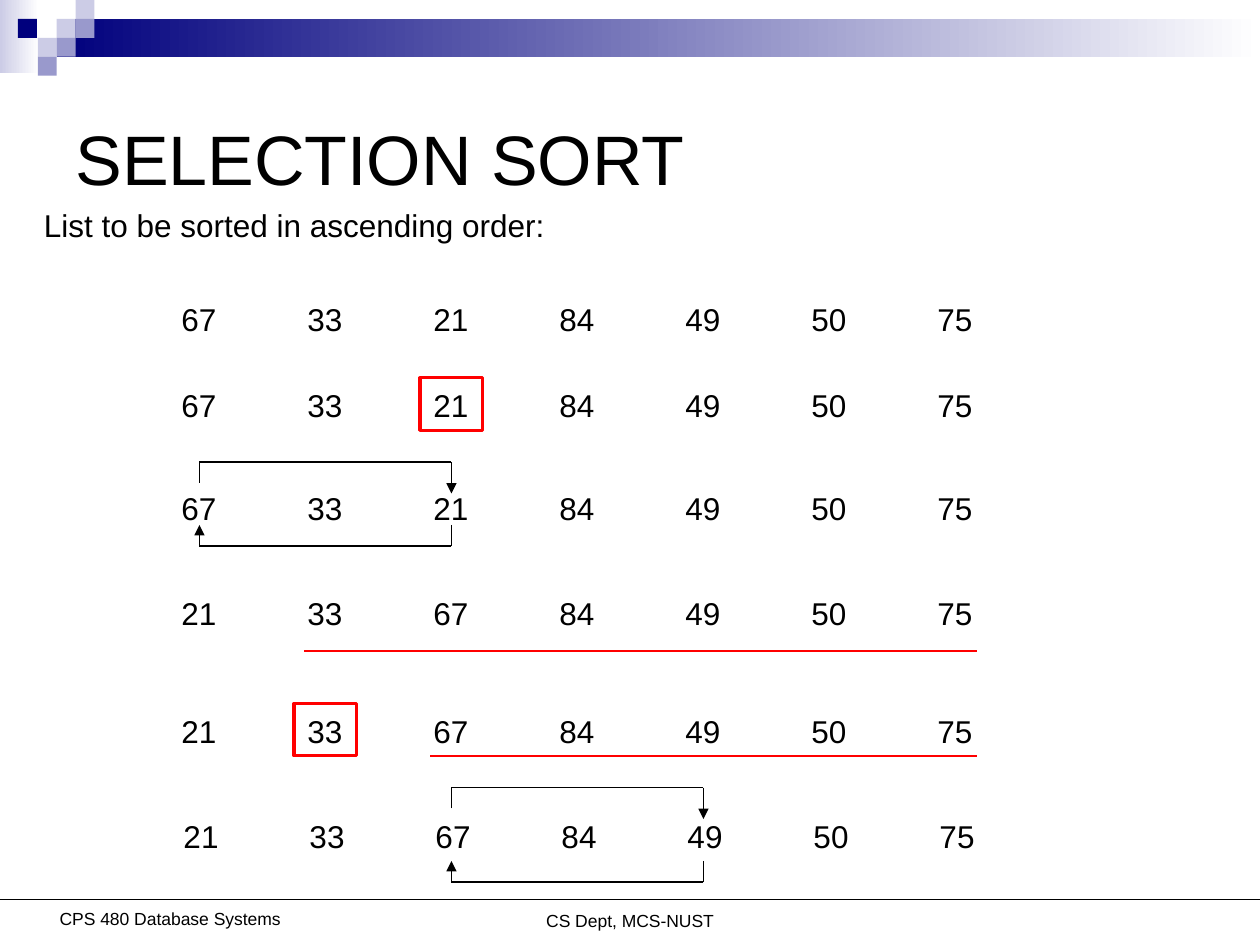
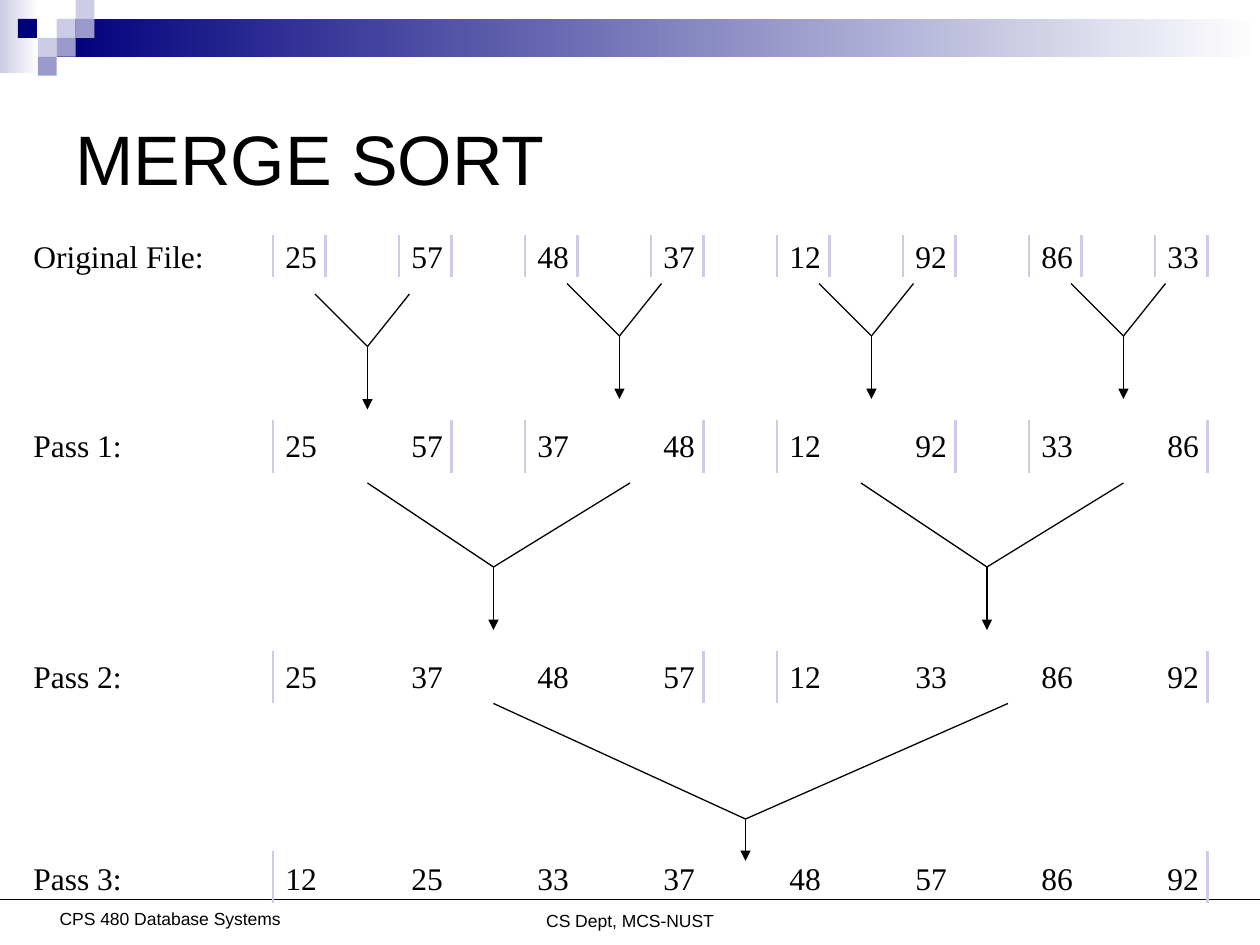
import itertools
import lxml.etree
import pptx
import pptx.dml.color
import pptx.enum.shapes
import pptx.enum.text
import pptx.oxml.ns
import pptx.util

BLACK = pptx.dml.color.RGBColor(0x00, 0x00, 0x00)
WHITE = pptx.dml.color.RGBColor(0xFF, 0xFF, 0xFF)
RED = pptx.dml.color.RGBColor(0xFF, 0x00, 0x00)
NAVY = pptx.dml.color.RGBColor(0x00, 0x00, 0x7D)
LILAC = pptx.dml.color.RGBColor(0xCC, 0xCC, 0xE6)
VIOLET = pptx.dml.color.RGBColor(0x99, 0x99, 0xCC)

COLUMN = pptx.util.Inches(1)
CELL = COLUMN // 12
TILE = 1.8
RECTANGLE = pptx.enum.shapes.MSO_SHAPE.RECTANGLE
LEFT = pptx.enum.text.PP_ALIGN.LEFT
CENTER = pptx.enum.text.PP_ALIGN.CENTER
TITLE_FORMAT = {"name": "Arial", "size": pptx.util.Pt(40)}
FOOTER_FORMAT = {"name": "Arial", "size": pptx.util.Pt(10)}
SORT_FORMAT = {"name": "Arial", "size": pptx.util.Pt(18)}
MERGE_FORMAT = {"name": "Times New Roman", "size": pptx.util.Pt(18)}


def add_text(page, text, area, text_format, align=LEFT):
    box = page.shapes.add_textbox(*[int(length * CELL) for length in area])
    box.text_frame.word_wrap = True
    para = box.text_frame.paragraphs[0]
    para.alignment = align
    if "\t" in text:
        stops = lxml.etree.SubElement(para._p.get_or_add_pPr(), pptx.oxml.ns.qn("a:tabLst"))
        for column in range(1, 10):
            lxml.etree.SubElement(stops, pptx.oxml.ns.qn("a:tab"), pos=str(column * COLUMN), algn="l")
    span = para.add_run()
    span.text = text
    span.font.color.rgb = BLACK
    for name, value in text_format.items():
        setattr(span.font, name, value)


def add_route(page, points, colour=BLACK, width=0.75, arrow=False):
    for start, end in itertools.pairwise(points):
        line = page.shapes.add_connector(
            pptx.enum.shapes.MSO_CONNECTOR.STRAIGHT,
            *[int(length * CELL) for length in start + end])
        line.line.color.rgb = colour
        line.line.width = pptx.util.Pt(width)
        if arrow and end == points[-1]:
            lxml.etree.SubElement(line.line._get_or_add_ln(), pptx.oxml.ns.qn("a:tailEnd"), type="triangle")
        lxml.etree.SubElement(line._element.spPr, pptx.oxml.ns.qn("a:effectLst"))


deck = pptx.Presentation()
deck.slide_width = 10 * COLUMN
deck.slide_height = 90 * CELL
layout = deck.slide_layouts[5]
for holder in list(layout.placeholders)[1:]:
    holder._element.getparent().remove(holder._element)

sort_page, merge_page = [deck.slides.add_slide(layout) for _ in range(2)]

bands = [(0, 0, 3.7, 7, LILAC), (3 * TILE, TILE, 120 - 3 * TILE, 2 * TILE, NAVY)]
tiles = [(3, 1, LILAC), (4, 0, LILAC), (4, 1, VIOLET), (2, 2, LILAC),
         (0.95, 1, NAVY), (3, 2, VIOLET), (2, 3, VIOLET)]
for *area, colour in bands:
    band = sort_page.shapes.add_shape(RECTANGLE, *[int(length * CELL) for length in area])
    band.shadow.inherit = False
    band.line.fill.background()
    band.fill.gradient()
    band.fill.gradient_angle = 0
    for stop, shade in zip(band.fill.gradient_stops, (colour, WHITE)):
        stop.color.rgb = shade
for column, row, colour in tiles:
    tile = sort_page.shapes.add_shape(
        RECTANGLE, *[int(count * TILE * CELL) for count in (column, row, 1, 1)])
    tile.shadow.inherit = False
    tile.line.fill.background()
    tile.fill.solid()
    tile.fill.fore_color.rgb = colour
add_text(sort_page, "CS Dept, MCS-NUST", (35, 86.1, 50, 3), FOOTER_FORMAT, CENTER)
add_text(sort_page, "CPS 480 Database Systems", (4.2, 85.9, 24, 3), FOOTER_FORMAT, CENTER)
add_route(sort_page, [(0, 85.7), (120, 85.7)])
for shape in list(sort_page.shapes):
    if not shape.is_placeholder:
        layout.shapes._spTree.append(shape._element)

for page, heading in [(sort_page, "SELECTION SORT"), (merge_page, "MERGE SORT")]:
    title = page.shapes.title
    title.left, title.top, title.width, title.height = [6 * CELL, 6 * CELL, 108 * CELL, 18 * CELL]
    title.text_frame.text = heading
    title.text_frame.vertical_anchor = pptx.enum.text.MSO_ANCHOR.MIDDLE
    para = title.text_frame.paragraphs[0]
    para.alignment = LEFT
    para.font.color.rgb = BLACK
    for name, value in TITLE_FORMAT.items():
        setattr(para.font, name, value)

add_text(sort_page, "List to be sorted in ascending order:", (3, 19, 54, 4.8), SORT_FORMAT)
sort_rows = [
    (16.1, 28, "67 33 21 84 49 50 75"),
    (16.1, 36.2, "67 33 21 84 49 50 75"),
    (16.1, 46, "67 33 21 84 49 50 75"),
    (16.1, 56, "21 33 67 84 49 50 75"),
    (16.1, 67.2, "21 33 67 84 49 50 75"),
    (16.3, 77.2, "21 33 67 84 49 50 75"),
]
for left, top, numbers in sort_rows:
    add_text(sort_page, numbers.replace(" ", "\t"), (left, top, 78, 4.8), SORT_FORMAT)
for left, top in [(40, 36), (28, 67)]:
    smallest = sort_page.shapes.add_shape(
        RECTANGLE, *[length * CELL for length in (left, top, 6, 5)])
    smallest.shadow.inherit = False
    smallest.fill.background()
    smallest.line.color.rgb = RED
    smallest.line.width = pptx.util.Pt(1.75)
for left, top in [(29, 62), (41, 72)]:
    add_route(sort_page, [(left, top), (93, top)], RED, 1.5)
for left, top, bottom in [(19, 44, 52), (43, 75, 84)]:
    right = left + 24
    add_route(sort_page, [(left, top + 2), (left, top), (right, top), (right, top + 3)], arrow=True)
    add_route(sort_page, [(right, bottom - 2), (right, bottom), (left, bottom), (left, bottom - 2)], arrow=True)

merge_rows = [
    (22, "Original File:\t", "25 57 48 37 12 92 86 33", 22.4, 4),
    (40, "Pass 1:\t\t", "25 57 37 48 12 92 33 86", 40, 5),
    (62, "Pass 2:\t\t", "25 37 48 57 12 33 86 92", 62, 5),
    (81.2, "Pass 3:\t\t", "12 25 33 37 48 57 86 92", 81, 5),
]
for step, (top, label, numbers, bar_top, bar_height) in enumerate(merge_rows):
    add_text(merge_page, label + numbers.replace(" ", "\t"), (2, top, 115, 4.8), MERGE_FORMAT)
    span_width = 12 * 2 ** step
    for left in range(26, 122, span_width):
        for edge in (left, left + span_width - 7):
            add_route(merge_page, [(edge, bar_top), (edge, bar_top + bar_height)], LILAC, 1.5)

funnels = [(30, 35, 39, 28, 33, 39)]
funnels += [(30 + shift, 35 + shift, 39 + shift, 27, 32, 38) for shift in (24, 48, 72)]
funnels += [(35 + shift, 47 + shift, 60 + shift, 46, 54, 60) for shift in (0, 47)]
funnels += [(47, 71, 96, 67, 78, 82)]
for left, middle, right, top, join, tip in funnels:
    add_route(merge_page, [(left, top), (middle, join)])
    add_route(merge_page, [(right, top), (middle, join), (middle, tip)], arrow=True)

deck.save("out.pptx")
